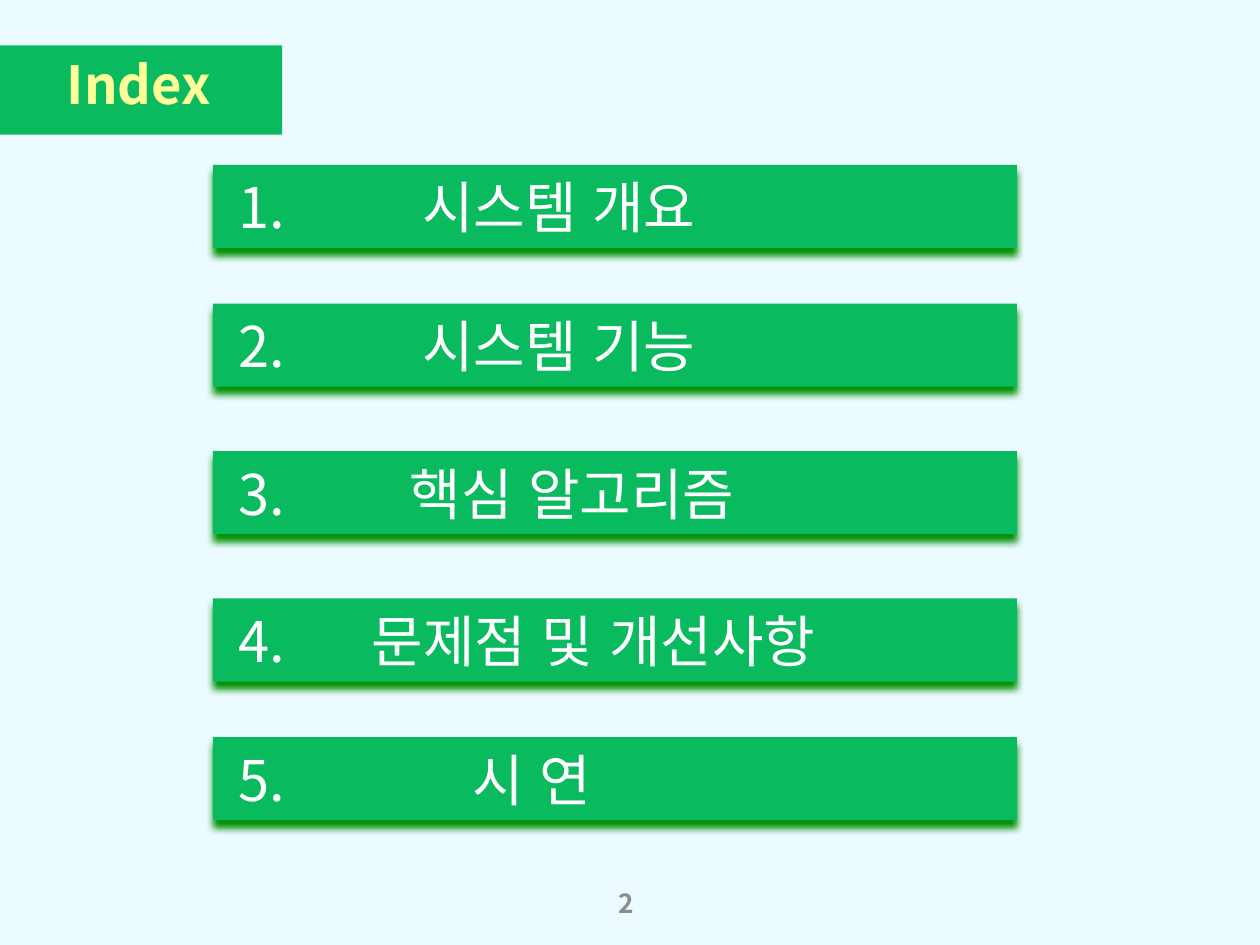
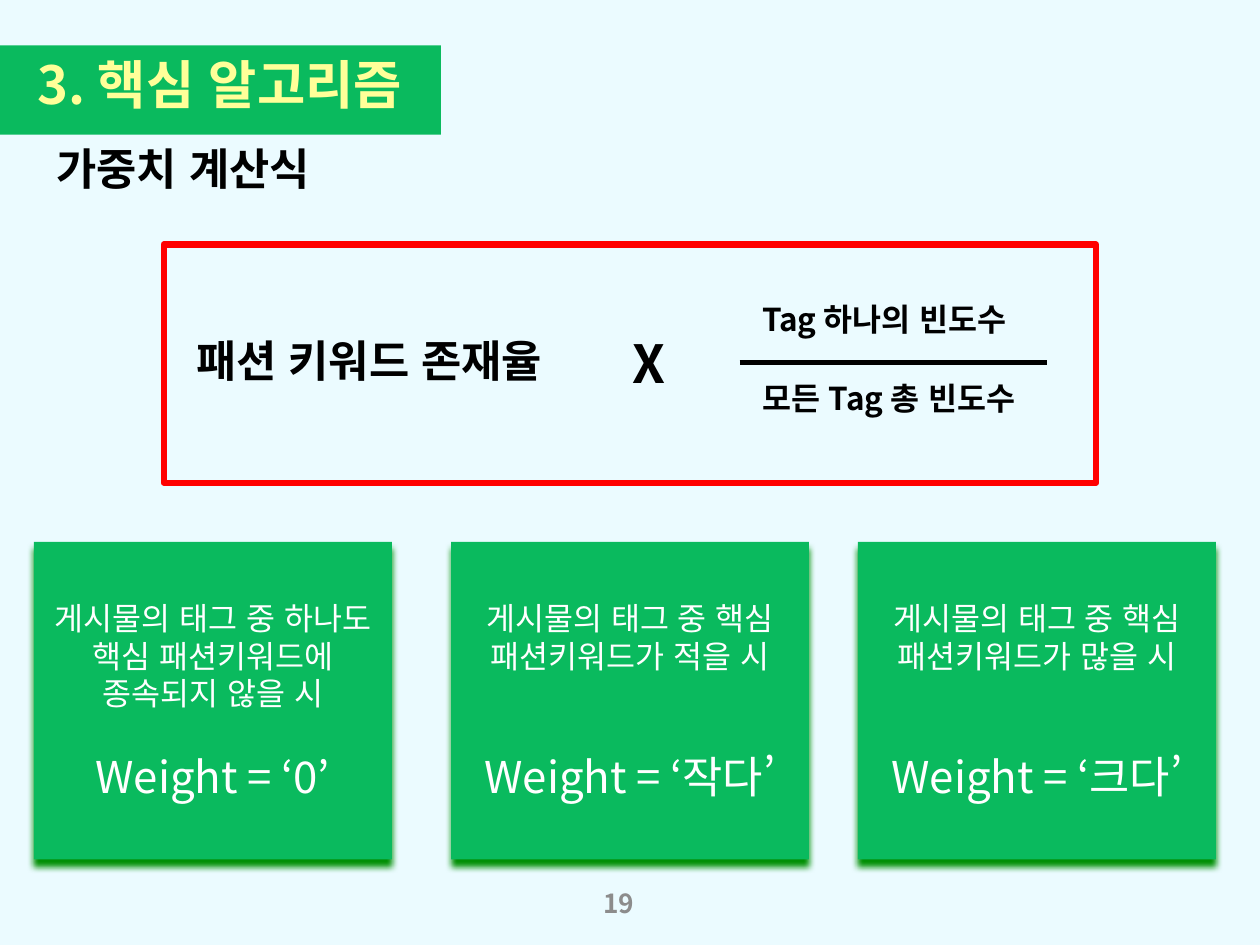
"""Build an index slide and a weight formula slide that share one green style."""
import lxml.etree
import pptx
import pptx.dml.color
import pptx.enum.lang
import pptx.enum.shapes
import pptx.enum.text
import pptx.oxml.ns
import pptx.util

Inches = pptx.util.Inches
Pt = pptx.util.Pt
ALIGN = pptx.enum.text.PP_ALIGN
MIDDLE = pptx.enum.text.MSO_ANCHOR.MIDDLE
RECTANGLE = pptx.enum.shapes.MSO_SHAPE.RECTANGLE
rgb = pptx.dml.color.RGBColor.from_string
qn = pptx.oxml.ns.qn

FONT = "Noto Sans CJK KR"
COLORS = {
    "background": "EBFBFF",
    "green": "0ABA5E",
    "shadow": "029005",
    "title": "FFFF99",
    "number": "8C8C8C",
    "white": "FFFFFF",
    "black": "000000",
    "frame": "FF0000",
}


def write(para, text, size, color, bold=False):
    """Add one formatted run to a paragraph."""
    span = para.add_run()
    span.text = text
    font = span.font
    font.name, font.size, font.bold = FONT, Pt(size), bold
    font.color.rgb = rgb(COLORS[color])
    font.language_id = pptx.enum.lang.MSO_LANGUAGE_ID.KOREAN
    lxml.etree.SubElement(span._r.rPr, qn("a:ea"), typeface=FONT)


def add_green_block(page, left, top, width, height):
    """Add a green rectangle with a dark green shadow and return its text frame."""
    block = page.shapes.add_shape(
        RECTANGLE, Inches(left), Inches(top), Inches(width), Inches(height))
    block.fill.solid()
    block.fill.fore_color.rgb = rgb(COLORS["green"])
    block.line.fill.background()
    block.shadow.inherit = False
    effects = block._element.spPr.find(qn("a:effectLst"))
    shadow = lxml.etree.SubElement(
        effects, qn("a:outerShdw"), blurRad=str(Pt(4)), dist=str(Pt(4)),
        dir="5400000", algn="t", rotWithShape="0")
    lxml.etree.SubElement(shadow, qn("a:srgbClr"), val=COLORS["shadow"])
    block.text_frame.word_wrap = True
    block.text_frame.vertical_anchor = MIDDLE
    return block.text_frame


deck = pptx.Presentation()
deck.slide_width, deck.slide_height = Inches(10), Inches(7.5)
deck.slide_master.background.fill.solid()
deck.slide_master.background.fill.fore_color.rgb = rgb(COLORS["background"])

title_bands = [
    ("Index", 2.24, 0.53, "2"),
    ("3. 핵심 알고리즘", 3.5, 0.3, "19"),
]
pages = []
for title_text, band_width, indent, number in title_bands:
    page = deck.slides.add_slide(deck.slide_layouts[5])
    pages.append(page)
    title = page.shapes.title
    title.left, title.top = Inches(0), Inches(0.36)
    title.width, title.height = Inches(band_width), Inches(0.71)
    title.fill.solid()
    title.fill.fore_color.rgb = rgb(COLORS["green"])
    frame = title.text_frame
    frame.auto_size = pptx.enum.text.MSO_AUTO_SIZE.NONE
    frame.vertical_anchor = MIDDLE
    frame.margin_left, frame.margin_right = Inches(indent), Inches(0)
    frame.margin_top, frame.margin_bottom = Inches(0), Inches(0.1)
    frame.paragraphs[0].alignment = ALIGN.LEFT
    write(frame.paragraphs[0], title_text, 30, "title", True)

    number_box = page.shapes.add_textbox(
        Inches(2.8), Inches(6.97), Inches(2.33), Inches(0.4))
    number_box.text_frame.word_wrap = True
    number_box.text_frame.vertical_anchor = MIDDLE
    number_box.text_frame.paragraphs[0].alignment = ALIGN.RIGHT
    write(number_box.text_frame.paragraphs[0], number, 15, "number", True)

index_page, formula_page = pages

chapters = [
    ("시스템 개요", 1.31, 1.46),
    ("시스템 기능", 2.41, 1.46),
    ("핵심 알고리즘", 3.58, 1.36),
    ("문제점 및 개선사항", 4.75, 1.06),
    ("시 연", 5.85, 1.86),
]
for position, (chapter, top, tab) in enumerate(chapters, start=1):
    frame = add_green_block(index_page, 1.69, top, 6.38, 0.66)
    frame.margin_left = Inches(0.2)
    para = frame.paragraphs[0]
    para.alignment = ALIGN.LEFT
    tabs = lxml.etree.SubElement(para._p.get_or_add_pPr(), qn("a:tabLst"))
    lxml.etree.SubElement(tabs, qn("a:tab"), pos=str(Inches(tab)), algn="l")
    write(para, f"{position}.", 32, "white")
    write(para, f"\t{chapter}", 32, "white")

formula_texts = [
    ("가중치 계산식", 25, 0.35, 1.07, 2.99, 0.52),
    ("Tag 하나의 빈도수", 18, 5.95, 2.33, 2.84, 0.4),
    ("모든 Tag 총 빈도수", 18, 5.95, 2.96, 2.84, 0.4),
    ("패션 키워드 존재율", 25, 1.46, 2.6, 3.54, 0.52),
    ("X", 30, 4.92, 2.57, 0.71, 0.61),
]
for text, size, left, top, width, height in formula_texts:
    box = formula_page.shapes.add_textbox(
        Inches(left), Inches(top), Inches(width), Inches(height))
    frame = box.text_frame
    frame.word_wrap = True
    frame.vertical_anchor = MIDDLE
    frame.margin_top = frame.margin_bottom = Inches(0)
    write(frame.paragraphs[0], text, size, "black", True)

fraction_bar = formula_page.shapes.add_connector(
    pptx.enum.shapes.MSO_CONNECTOR.STRAIGHT,
    Inches(5.87), Inches(2.88), Inches(8.31), Inches(2.88))
fraction_bar.line.color.rgb = rgb(COLORS["black"])
fraction_bar.line.width = Pt(3)
lxml.etree.SubElement(fraction_bar._element.spPr, qn("a:effectLst"))

formula_frame = formula_page.shapes.add_shape(
    RECTANGLE, Inches(1.3), Inches(1.94), Inches(7.4), Inches(1.89))
formula_frame.fill.background()
formula_frame.line.color.rgb = rgb(COLORS["frame"])
formula_frame.line.width = Pt(3.5)
formula_frame.shadow.inherit = False

line_pitch = 21.6
cards = [
    (0.27, "게시물의 태그 중 하나도 핵심 패션키워드에 종속되지 않을 시", "Weight = ‘0’", 1),
    (3.58, "게시물의 태그 중 핵심 패션키워드가 적을 시", "Weight = ‘작다’", 2),
    (6.81, "게시물의 태그 중 핵심 패션키워드가 많을 시", "Weight = ‘크다’", 2),
]
for left, condition, weight, gap_lines in cards:
    frame = add_green_block(formula_page, left, 4.3, 2.84, 2.52)
    condition_para, weight_para = frame.paragraphs[0], frame.add_paragraph()
    condition_para.alignment = weight_para.alignment = ALIGN.CENTER
    condition_para.line_spacing = Pt(line_pitch)
    weight_para.line_spacing = Pt(30)
    weight_para.space_before = Pt(line_pitch * gap_lines)
    write(condition_para, condition, 18, "white")
    write(weight_para, weight, 25, "white")

deck.save("out.pptx")
